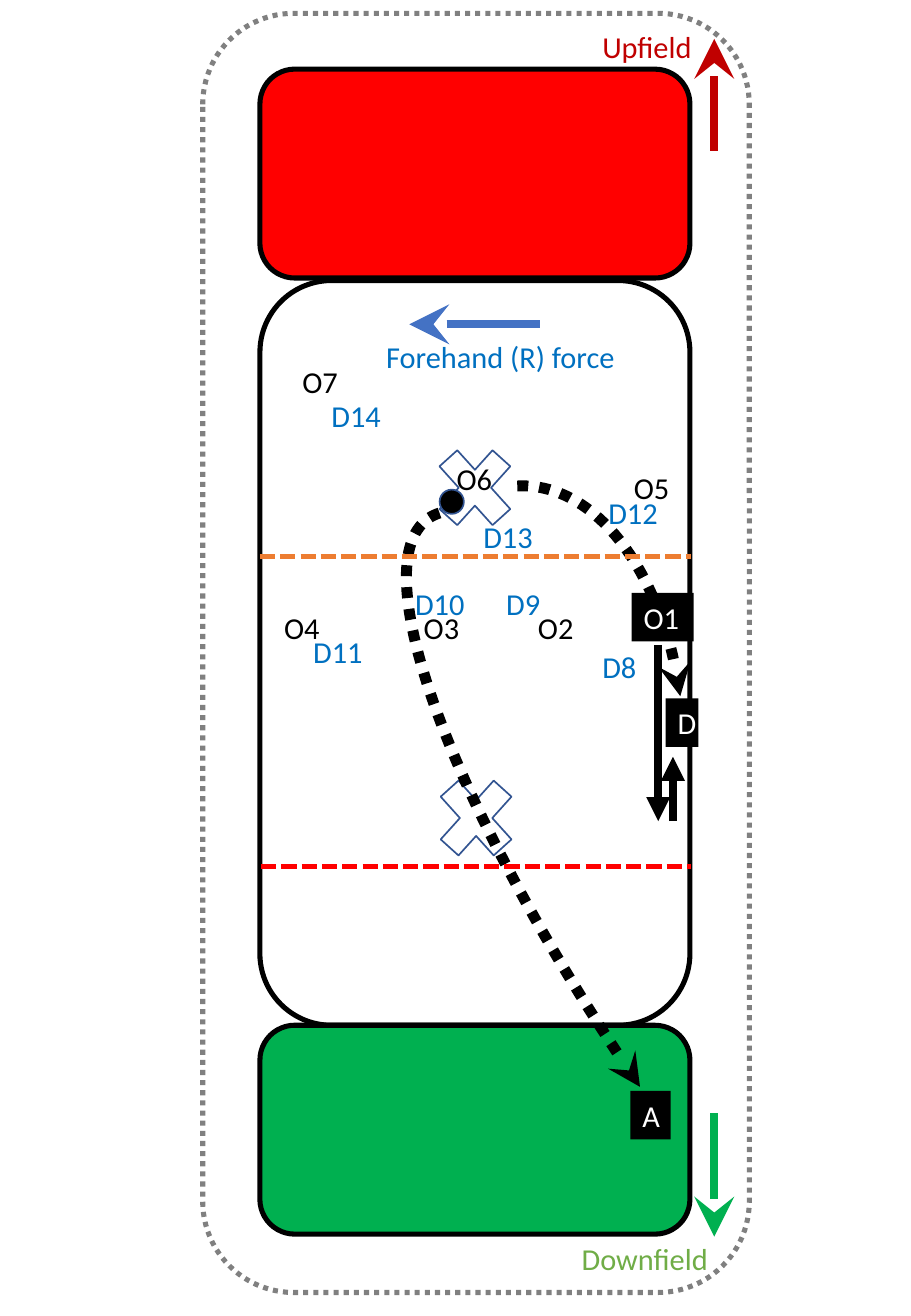
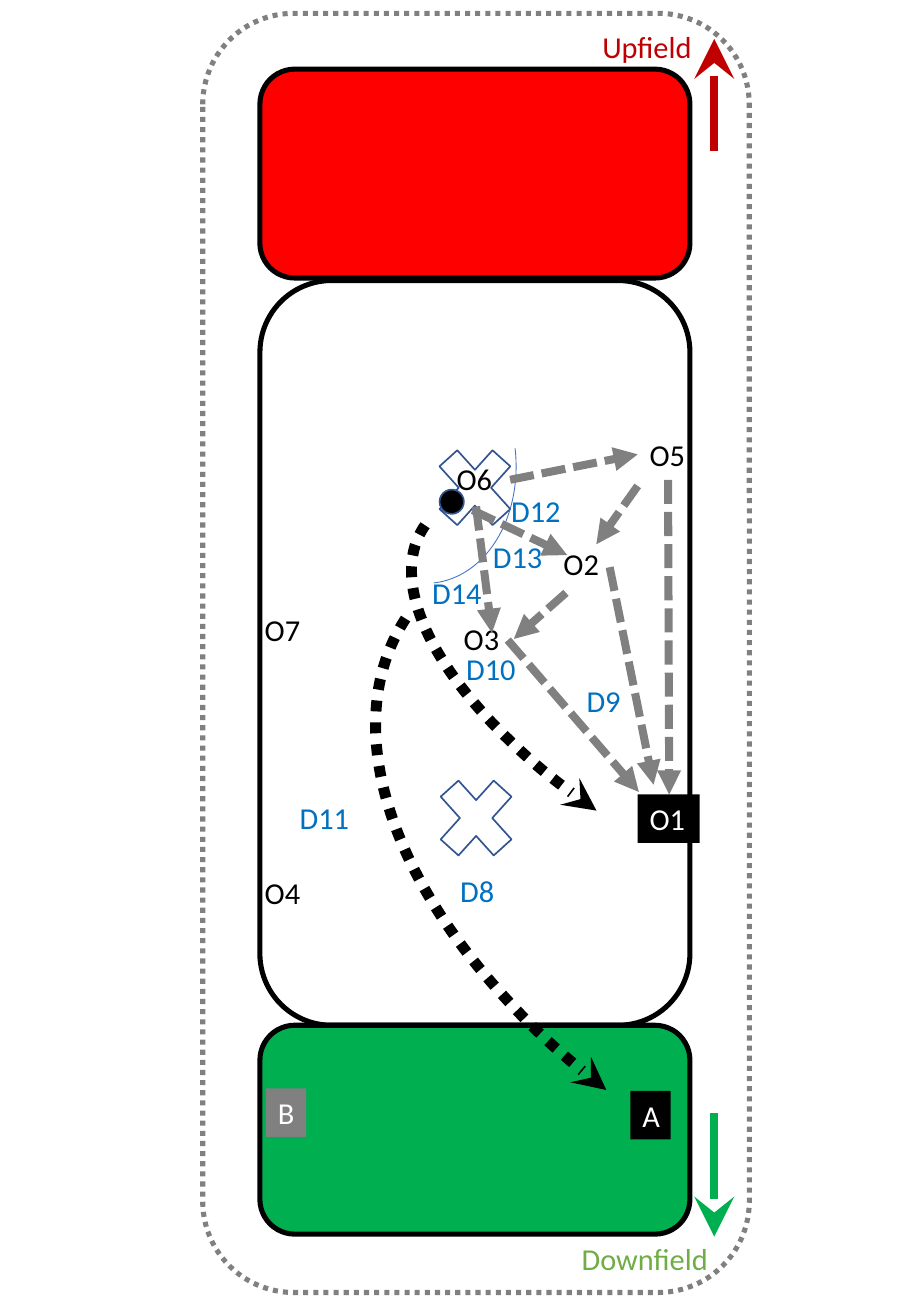
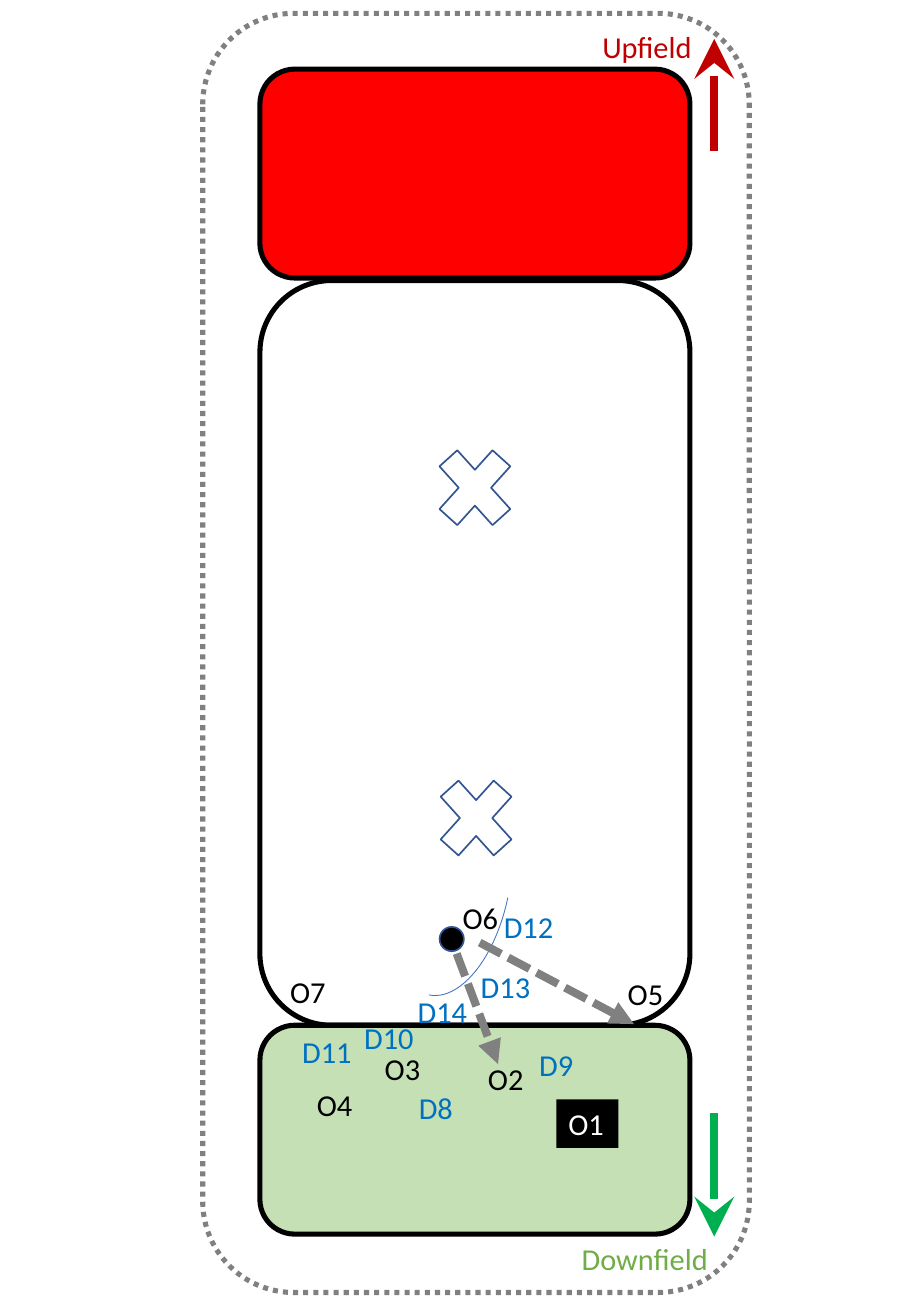
from dataclasses import dataclass

from lxml import etree
from pptx import Presentation
from pptx.dml.color import RGBColor
from pptx.enum.dml import MSO_LINE as Dash
from pptx.enum.shapes import MSO_CONNECTOR, MSO_SHAPE as Geo
from pptx.enum.text import MSO_ANCHOR, MSO_AUTO_SIZE, PP_ALIGN
from pptx.oxml.ns import qn
from pptx.util import Pt

FONT, TEXT_SIZE, LABEL_H = "Calibri", 18, 28.8
LABEL_W = {1: 23.8, 2: 36.7, 3: 48.2}
BLACK, WHITE, GREY = "000000", "FFFFFF", "808080"
RED, DARK_RED, GREEN, PALE_GREEN, LEAF = "FF0000", "C00000", "00B050", "C5E0B4", "70AD47"
DEFENCE, BLUE, NAVY, ORANGE = "0070C0", "4472C4", "325491", "ED7D31"
BORDER, ARROW, THROW = 3, 4.75, 6.5
FIELD_X, FIELD_W, ZONE_H = 154.1, 254.9, 123.8


@dataclass
class Label:
    """A player or caption; a fill turns it into a solid box."""
    text: str
    x: float
    y: float
    w: float = 0
    color: str = ""
    fill: str = ""


@dataclass
class Line:
    """A straight line with optional arrowheads."""
    x1: float
    y1: float
    x2: float
    y2: float
    color: str
    head: str = ""
    tail: str = ""
    dash: Dash | None = None
    width: float = ARROW


@dataclass
class Curve:
    """An arc: a dotted throw, or a thin marking line."""
    x: float
    y: float
    w: float
    h: float
    rot: float = 0
    throw: bool = True
    flip: bool = True


@dataclass
class Play:
    """Everything that changes from slide to slide."""
    zone: str
    labels: list[Label]
    lines: list[Line]
    curves: list[Curve]
    back_curves: list[Curve]
    ball_y: float


def rgb(color: str) -> RGBColor:
    """Turn a hex string into a colour."""
    return RGBColor.from_string(color)


def set_line(line, color: str, width: float, dash: Dash | None = None) -> None:
    """Set colour, width and dash of an outline."""
    line.color.rgb = rgb(color)
    line.width = Pt(width)
    if dash is not None:
        line.dash_style = dash


def add_head(shape, end: str, kind: str, size: str) -> None:
    """Put an arrowhead on one end of a line."""
    ln = shape.element.spPr.find(qn("a:ln"))
    etree.SubElement(ln, qn(f"a:{end}"), type=kind, w=size, len=size)


def add_shape(s, geo: Geo, x: float, y: float, w: float, h: float, fill: str = "",
              line: str = "", width: float = 1, dash: Dash | None = None):
    """Draw a flat preset shape."""
    sp = s.shapes.add_shape(geo, Pt(x), Pt(y), Pt(w), Pt(h))
    sp.shadow.inherit = False
    if fill:
        sp.fill.solid()
        sp.fill.fore_color.rgb = rgb(fill)
    else:
        sp.fill.background()
    if line:
        set_line(sp.line, line, width, dash)
    else:
        sp.line.fill.background()
    return sp


def add_label(s, label: Label) -> None:
    """Write a label; attackers are black and defenders blue by default."""
    w = label.w or LABEL_W[len(label.text)]
    if label.fill:
        sp = add_shape(s, Geo.RECTANGLE, label.x, label.y, w, LABEL_H, label.fill)
        color = WHITE
    else:
        sp = s.shapes.add_textbox(Pt(label.x), Pt(label.y), Pt(w), Pt(LABEL_H))
        color = label.color or (DEFENCE if label.text[0] == "D" else BLACK)
    tf = sp.text_frame
    tf.text = label.text
    tf.word_wrap = True
    tf.auto_size = MSO_AUTO_SIZE.SHAPE_TO_FIT_TEXT
    tf.vertical_anchor = MSO_ANCHOR.TOP
    p = tf.paragraphs[0]
    p.alignment = PP_ALIGN.LEFT
    font = p.runs[0].font
    font.name, font.size, font.color.rgb = FONT, Pt(TEXT_SIZE), rgb(color)


def add_line(s, line: Line) -> None:
    """Draw a straight line with its arrowheads."""
    cx = s.shapes.add_connector(MSO_CONNECTOR.STRAIGHT, Pt(line.x1), Pt(line.y1),
                                Pt(line.x2), Pt(line.y2))
    set_line(cx.line, line.color, line.width, line.dash)
    for end, kind in (("headEnd", line.head), ("tailEnd", line.tail)):
        if kind:
            add_head(cx, end, kind, "lg" if kind == "stealth" else "med")
    etree.SubElement(cx.element.spPr, qn("a:effectLst"))


def add_curve(s, curve: Curve) -> None:
    """Draw a throw with its arrowhead, or a thin marking arc."""
    color, width, dash = (BLACK, THROW, Dash.ROUND_DOT) if curve.throw else (BLUE, 0.5, None)
    sp = add_shape(s, Geo.ARC, curve.x, curve.y, curve.w, curve.h,
                   line=color, width=width, dash=dash)
    sp.rotation = curve.rot
    if curve.throw:
        sp.adjustments[0], sp.adjustments[1] = 161.319, 202.581
        add_head(sp, "tailEnd", "stealth", "med")
        if curve.flip:
            sp.element.spPr.find(qn("a:xfrm")).set("flipH", "1")


def add_field(s, zone: str) -> None:
    """Draw the pitch, its end zones, brick marks and directions."""
    for y, h, fill in ((166.3, 441.4, ""), (607.7, ZONE_H, zone), (41, ZONE_H, RED)):
        add_shape(s, Geo.ROUNDED_RECTANGLE, FIELD_X, y, FIELD_W, h, fill, BLACK, BORDER)
    add_shape(s, Geo.ROUNDED_RECTANGLE, 120.2, 7.9, 324, 758.2, "", GREY, BORDER, Dash.ROUND_DOT)
    for x, y in ((252, 451.4), (251.3, 255.6)):
        add_shape(s, Geo.MATH_MULTIPLY, x, y, 60.5, 67, line=NAVY)
    add_line(s, Line(423.4, 23, 423.4, 89.3, DARK_RED, head="stealth"))
    add_line(s, Line(423.4, 733, 423.4, 659.5, GREEN, head="stealth"))
    add_label(s, Label("Upfield", 349.9, 13, 75.6, DARK_RED))
    add_label(s, Label("Downfield", 337.7, 731.5, 95, LEAF))


def add_play(prs, play: Play) -> None:
    """Build one slide."""
    s = prs.slides.add_slide(prs.slide_layouts[6])
    add_field(s, play.zone)
    for curve in play.back_curves:
        add_curve(s, curve)
    for label in play.labels:
        add_label(s, label)
    add_shape(s, Geo.OVAL, 260.6, play.ball_y, 14.4, 14.4, BLACK, NAVY)
    for curve in play.curves:
        add_curve(s, curve)
    for line in play.lines:
        add_line(s, line)


def cut(x1: float, y1: float, x2: float, y2: float) -> Line:
    """A solid black running arrow."""
    return Line(x1, y1, x2, y2, BLACK, tail="triangle")


def option(x1: float, y1: float, x2: float, y2: float) -> Line:
    """A dashed grey passing arrow."""
    return Line(x1, y1, x2, y2, GREY, tail="triangle", dash=Dash.SQUARE_DOT)


def yard_line(x: float, y: float, color: str) -> Line:
    """A dashed line across the pitch."""
    return Line(x, y, 409.7, y, color, dash=Dash.SQUARE_DOT, width=BORDER)


TARGET_A = Label("A", 373.7, 646.6, fill=BLACK)

PLAYS = [
    Play(
        zone=GREEN, ball_y=290.2,
        labels=[
            Label("O2", 311.8, 357.8), Label("O1", 374.4, 351.4, fill=BLACK),
            Label("O3", 244.1, 357.8), Label("O4", 161.3, 357.8),
            Label("O5", 368.6, 274.3), Label("O6", 263.5, 269.3),
            Label("O7", 172.1, 211.7), Label("D8", 349.9, 380.9),
            Label("D9", 293, 343.4), Label("D10", 239, 343.4),
            Label("D11", 178.6, 371.5), Label("D12", 353.5, 289.4),
            Label("D13", 279.4, 303.8), Label("D14", 189.4, 231.8),
            Label("Forehand (R) force", 221.8, 196.6, 180, DEFENCE),
            TARGET_A, Label("D", 394.6, 414, 19.4, fill=BLACK),
        ],
        lines=[
            Line(242.6, 192.2, 320.4, 192.2, BLUE, head="stealth"),
            cut(390.2, 382.3, 390.2, 486.7), cut(398.9, 486.7, 398.9, 448.6),
            yard_line(154.8, 513.4, RED), yard_line(154.1, 329.8, ORANGE),
        ],
        curves=[Curve(383.8, 235.4, 188.6, 771.1, 324.4)],
        back_curves=[Curve(213.8, 288, 192.2, 326.2, flip=False)],
    ),
    Play(
        zone=GREEN, ball_y=290.2,
        labels=[
            Label("O2", 326.9, 319.7), Label("O1", 378, 470.9, fill=BLACK),
            Label("O3", 267.8, 364.3), Label("O4", 149.8, 514.8),
            Label("O5", 378, 254.9), Label("O6", 263.5, 269.3),
            Label("O7", 149.8, 358.6), Label("D8", 265.7, 513.4),
            Label("D9", 340.6, 401), Label("D10", 269.3, 381.6),
            Label("D11", 170.6, 470.2), Label("D12", 295.9, 288),
            Label("D13", 285.1, 315.4), Label("D14", 249.1, 337),
            TARGET_A, Label("B", 157.7, 645.1, fill=GREY),
        ],
        lines=[
            option(302.4, 284.4, 378, 269.3), option(378, 288, 353.5, 322.6),
            option(396, 284.4, 396.7, 470.9), option(280.1, 302.4, 336.2, 329),
            option(335.5, 351.4, 304.6, 378.7), option(301, 379.4, 378.7, 469.4),
            option(282.2, 300.2, 291.6, 375.1), option(361.4, 336.2, 387.4, 465.1),
        ],
        curves=[
            Curve(338.4, 208.8, 187.9, 420.5, 299.7),
            Curve(175, 215.3, 147.6, 113.8, 83.5, throw=False),
            Curve(328.3, 213.1, 365, 630, 299.7),
        ],
        back_curves=[],
    ),
    Play(
        zone=PALE_GREEN, ball_y=549.4,
        labels=[
            Label("O2", 282.2, 625, 41), Label("O1", 329.8, 651.6, fill=BLACK),
            Label("O3", 221, 619.2, 41), Label("O4", 180.7, 640.1),
            Label("O5", 365, 574.6), Label("O6", 267.1, 529.2),
            Label("O7", 164.9, 573.1), Label("D8", 241.2, 642.2, 38.2),
            Label("D9", 312.5, 616.3), Label("D10", 208.8, 600.5),
            Label("D11", 172.1, 609.1), Label("D12", 291.6, 535),
            Label("D13", 277.9, 570.2), Label("D14", 240.5, 585.4),
        ],
        lines=[option(284.4, 558.7, 375.8, 607), option(270.7, 565.2, 295.2, 630.7)],
        curves=[Curve(201.6, 491, 131.8, 68.4, 101.6, throw=False)],
        back_curves=[],
    ),
]

prs = Presentation()
prs.slide_width, prs.slide_height = Pt(540), Pt(780)
for play in PLAYS:
    add_play(prs, play)
prs.save("out.pptx")
